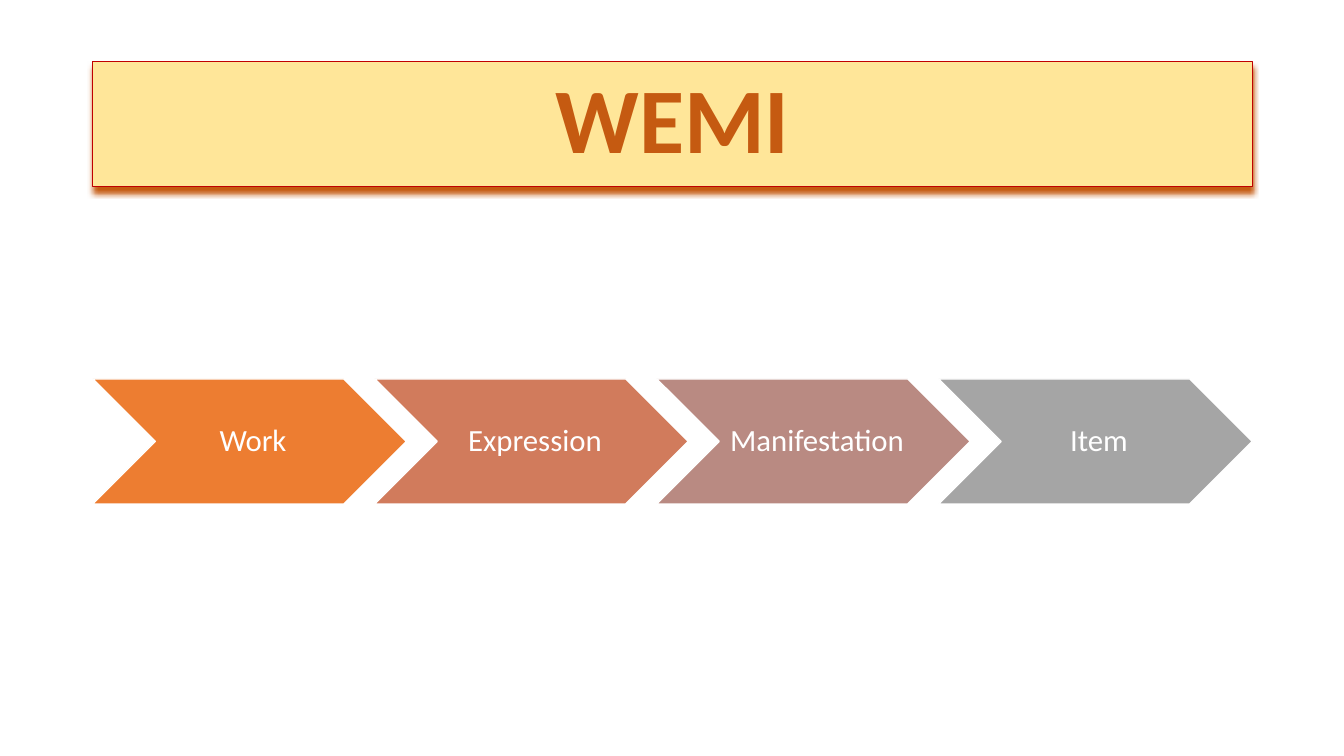
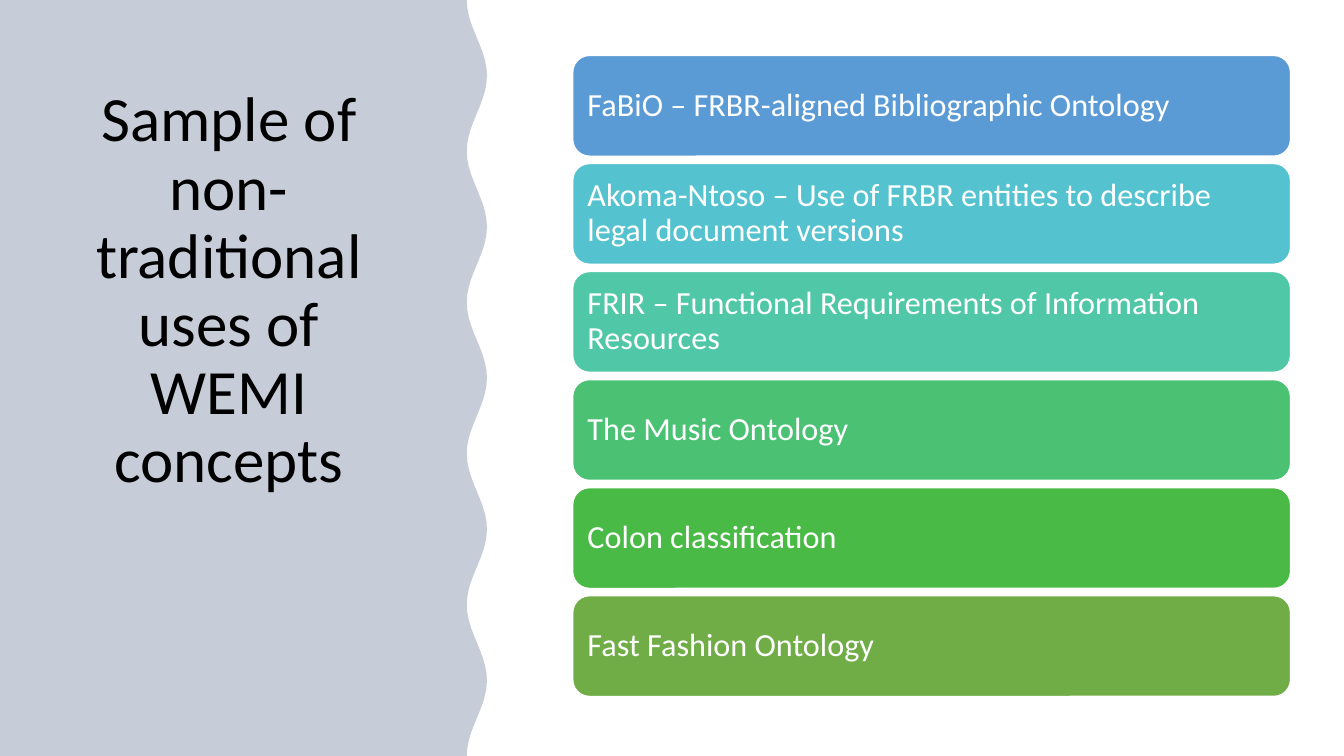
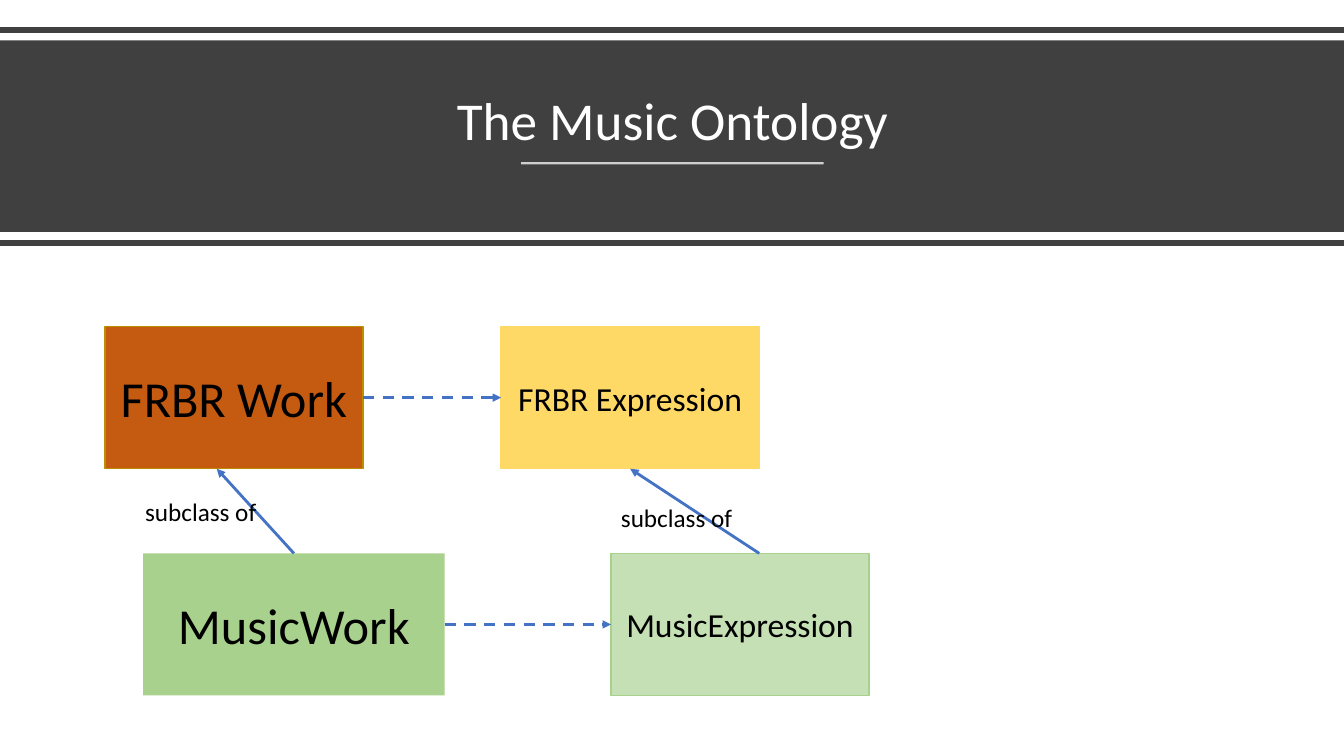
from math import cos, pi

from lxml import etree
from pptx import Presentation
from pptx.dml.color import RGBColor
from pptx.enum.dml import MSO_LINE
from pptx.enum.shapes import MSO_CONNECTOR, MSO_SHAPE
from pptx.enum.text import MSO_ANCHOR, MSO_AUTO_SIZE, PP_ALIGN
from pptx.oxml.ns import qn
from pptx.util import Inches, Pt

RECT, ROUND, CHEVRON = MSO_SHAPE.RECTANGLE, MSO_SHAPE.ROUNDED_RECTANGLE, MSO_SHAPE.CHEVRON
LEFT, CENTER = PP_ALIGN.LEFT, PP_ALIGN.CENTER
MIDDLE, BOTTOM = MSO_ANCHOR.MIDDLE, MSO_ANCHOR.BOTTOM
NO_FIT, GROW = MSO_AUTO_SIZE.NONE, MSO_AUTO_SIZE.SHAPE_TO_FIT_TEXT
STRAIGHT, DASH = MSO_CONNECTOR.STRAIGHT, MSO_LINE.DASH
TOP, WEST, SOUTH, EAST = range(4)


class Theme:
    font = "Calibri"
    white, black, dark = "FFFFFF", "000000", "404040"
    rust, cream, red = "C55A11", "FFE699", "C00000"
    navy, blue = "203864", "4472C4"
    gold, olive, leaf, mint = "FFD966", "BD8E00", "A9D18E", "C5E0B4"
    steps = ["ED7D31", "D17B5C", "B98A82", "A5A5A5"]
    bars = ["5B9BD5", "55C3CF", "50C8A7", "4BC174", "4ABA46", "70AD47"]
    hero, side, head = 66, 45, 38
    step, bar, big, small, label = 22, 23, 36, 24, 18


def draw(shape, fill, line=None, width=1):
    """Give a shape a flat fill and, if named, a line."""
    shape.shadow.inherit = False
    shape.fill.solid()
    shape.fill.fore_color.rgb = RGBColor.from_string(fill)
    if line:
        shape.line.color.rgb = RGBColor.from_string(line)
        shape.line.width = Pt(width)
    else:
        shape.line.fill.background()
    return shape


def write(shape, text, size, color, align=CENTER, space=0.9, bold=False, **frame):
    """Put one paragraph of text into a shape."""
    body = shape.text_frame
    body.text = text
    base = {"word_wrap": True, "auto_size": NO_FIT, "vertical_anchor": MIDDLE}
    for key, value in (base | frame).items():
        setattr(body, key, value)
    para = body.paragraphs[0]
    para.alignment, para.line_spacing = align, space
    look = {"name": Theme.font, "size": Pt(size), "bold": bold}
    for key, value in look.items():
        setattr(para.font, key, value)
    para.font.color.rgb = RGBColor.from_string(color)


deck = Presentation()
deck.slide_width, deck.slide_height = Inches(13.33), Inches(7.5)

# Titles: place, text, size, colour, format
heads = [
    ((0.92, 0.61, 11.5, 1.24), "WEMI", Theme.hero, Theme.rust, {"bold": True}),
    ((0.5, 0.79, 3.54, 4.18), "Sample of non-traditional uses of WEMI concepts",
     Theme.side, Theme.black, {"vertical_anchor": BOTTOM}),
    ((0.58, 0.54, 12.18, 1.02), "The Music Ontology",
     Theme.head, Theme.white, {"vertical_anchor": BOTTOM}),
]
slides = []
for place, text, size, color, form in heads:
    slide = deck.slides.add_slide(deck.slide_layouts[5])
    title = slide.shapes.title
    title.left, title.top, title.width, title.height = map(Inches, place)
    write(title, text, size, color, **form)
    slides.append(slide)
first, second, third = slides

# Slide 1: framed title with a soft shadow
title = draw(first.shapes.title, Theme.cream, Theme.red, 0.75)
effects = title.element.spPr.find(qn("a:effectLst"))
shadow = etree.SubElement(effects, qn("a:outerShdw"), blurRad=str(Pt(4)),
                          dist=str(Pt(4)), dir="5400000", rotWithShape="0")
etree.SubElement(shadow, qn("a:srgbClr"), val=Theme.rust)

# Slide 1: chain of chevrons
pad = {"margin_left": Inches(0.1)}
pad |= {f"margin_{side}": Inches(0.03) for side in ("top", "right", "bottom")}
names = ["Work", "Expression", "Manifestation", "Item"]
for i, (name, fill) in enumerate(zip(names, Theme.steps)):
    step = first.shapes.add_shape(CHEVRON, Inches(0.92 + 8.39 * i / 3), Inches(3.76),
                                  Inches(3.11), Inches(1.24))
    draw(step, fill, Theme.white)
    write(step, name, Theme.step, Theme.white, **pad)

# Slide 2: tinted side panel with a wavy edge
tops = [7.5 * i / 100 for i in range(101)]
edge = [(Inches(4.73 - 0.1 * cos(2 * pi * y / 1.5)), Inches(y)) for y in tops]
pen = second.shapes.build_freeform(0, 0)
pen.add_line_segments(edge + [(0, Inches(7.5))], close=True)
panel = draw(pen.convert_to_shape(), Theme.navy)
tint = panel.element.spPr.find(".//" + qn("a:srgbClr"))
etree.SubElement(tint, qn("a:alpha"), val="25000")
second.shapes.element.append(second.shapes.title.element)

# Slide 2: list of uses
uses = [
    "FaBiO – FRBR-aligned Bibliographic Ontology",
    "Akoma-Ntoso – Use of FRBR entities to describe legal document versions",
    "FRIR – Functional Requirements of Information Resources",
    "The Music Ontology",
    "Colon classification",
    "Fast Fashion Ontology",
]
pad = {f"margin_{side}": Inches(0.1) for side in ("left", "top", "right", "bottom")}
for i, (use, fill) in enumerate(zip(uses, Theme.bars)):
    bar = second.shapes.add_shape(ROUND, Inches(5.68), Inches(0.55 + 5.36 * i / 5),
                                  Inches(7.12), Inches(1))
    draw(bar, fill, Theme.white)
    write(bar, use, Theme.bar, Theme.white, LEFT, **pad)

# Slide 3: dark band behind the title
band = third.shapes.add_shape(RECT, 0, Inches(0.4), deck.slide_width, Inches(1.9))
draw(band, Theme.dark)
third.shapes.element.append(third.shapes.title.element)

# Slide 3: class boxes
kinds = [
    ("FRBR Work", 1.04, 3.24, 2.56, Theme.rust, Theme.olive, Theme.big),
    ("FRBR Expression", 4.97, 3.24, 2.56, Theme.gold, Theme.gold, Theme.small),
    ("MusicWork", 1.42, 5.49, 2.99, Theme.leaf, None, Theme.big),
    ("MusicExpression", 6.06, 5.49, 2.56, Theme.mint, Theme.leaf, Theme.small),
]
boxes = []
for name, x, y, wide, fill, line, size in kinds:
    box = third.shapes.add_shape(RECT, Inches(x), Inches(y), Inches(wide), Inches(1.41))
    draw(box, fill, line)
    write(box, name, size, Theme.black, space=1)
    boxes.append(box)
work, form, song, tune = boxes

# Slide 3: rules and arrows, with the box sides they join
rule = {"color": Theme.dark, "width": 4}
thin = {"color": Theme.white, "width": 1.5, "alpha": "75000"}
arrow = {"color": Theme.blue, "width": 2, "tip": "triangle"}
dashed = arrow | {"dash": DASH}
lines = [
    ((0, 0.3, 13.33, 0.3), rule, None, None),
    ((5.17, 1.62, 8.17, 1.62), thin, None, None),
    ((0, 2.41, 13.33, 2.41), rule, None, None),
    ((2.92, 5.49, 2.15, 4.65), arrow, (song, TOP), None),
    ((7.53, 5.49, 6.25, 4.65), arrow, None, (form, SOUTH)),
    ((3.6, 3.95, 4.97, 3.95), dashed, (work, EAST), (form, WEST)),
    ((4.42, 6.19, 6.06, 6.19), dashed, (song, EAST), (tune, WEST)),
]
for ends, style, start, stop in lines:
    link = third.shapes.add_connector(STRAIGHT, *map(Inches, ends))
    link.line.color.rgb = RGBColor.from_string(style["color"])
    link.line.width = Pt(style["width"])
    props = link.element.spPr
    if "dash" in style:
        link.line.dash_style = style["dash"]
    if "alpha" in style:
        tint = props.find(".//" + qn("a:srgbClr"))
        etree.SubElement(tint, qn("a:alpha"), val=style["alpha"])
    if "tip" in style:
        etree.SubElement(props.find(qn("a:ln")), qn("a:tailEnd"), type=style["tip"])
    etree.SubElement(props, qn("a:effectLst"))
    if start:
        link.begin_connect(*start)
    if stop:
        link.end_connect(*stop)

# Slide 3: arrow labels
for x, y in [(6.06, 4.93), (1.34, 4.87)]:
    label = third.shapes.add_textbox(Inches(x), Inches(y), Inches(1.32), Inches(0.4))
    write(label, "subclass of", Theme.label, Theme.black, LEFT, 1,
          word_wrap=False, auto_size=GROW, vertical_anchor=MSO_ANCHOR.TOP)

deck.save("out.pptx")
